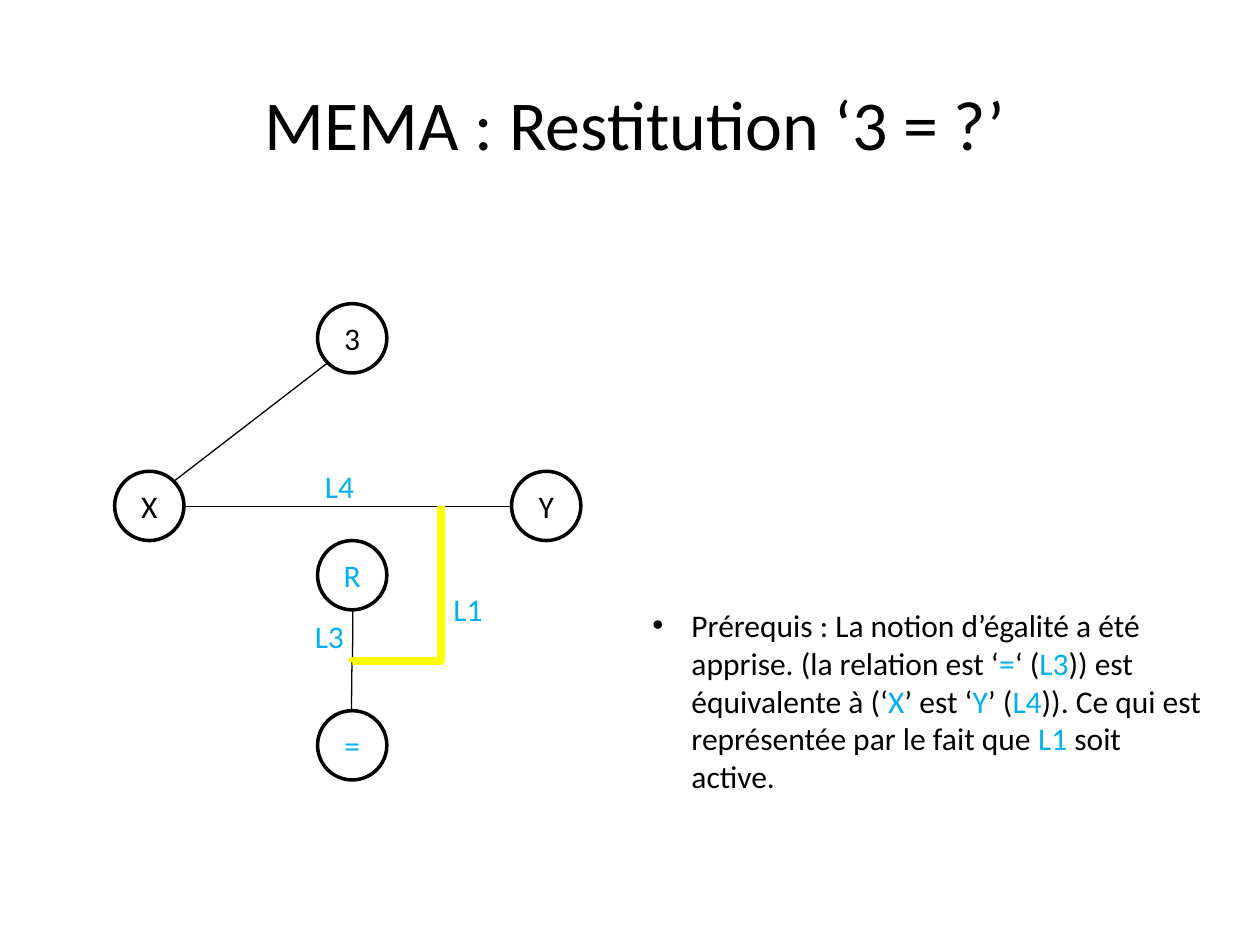
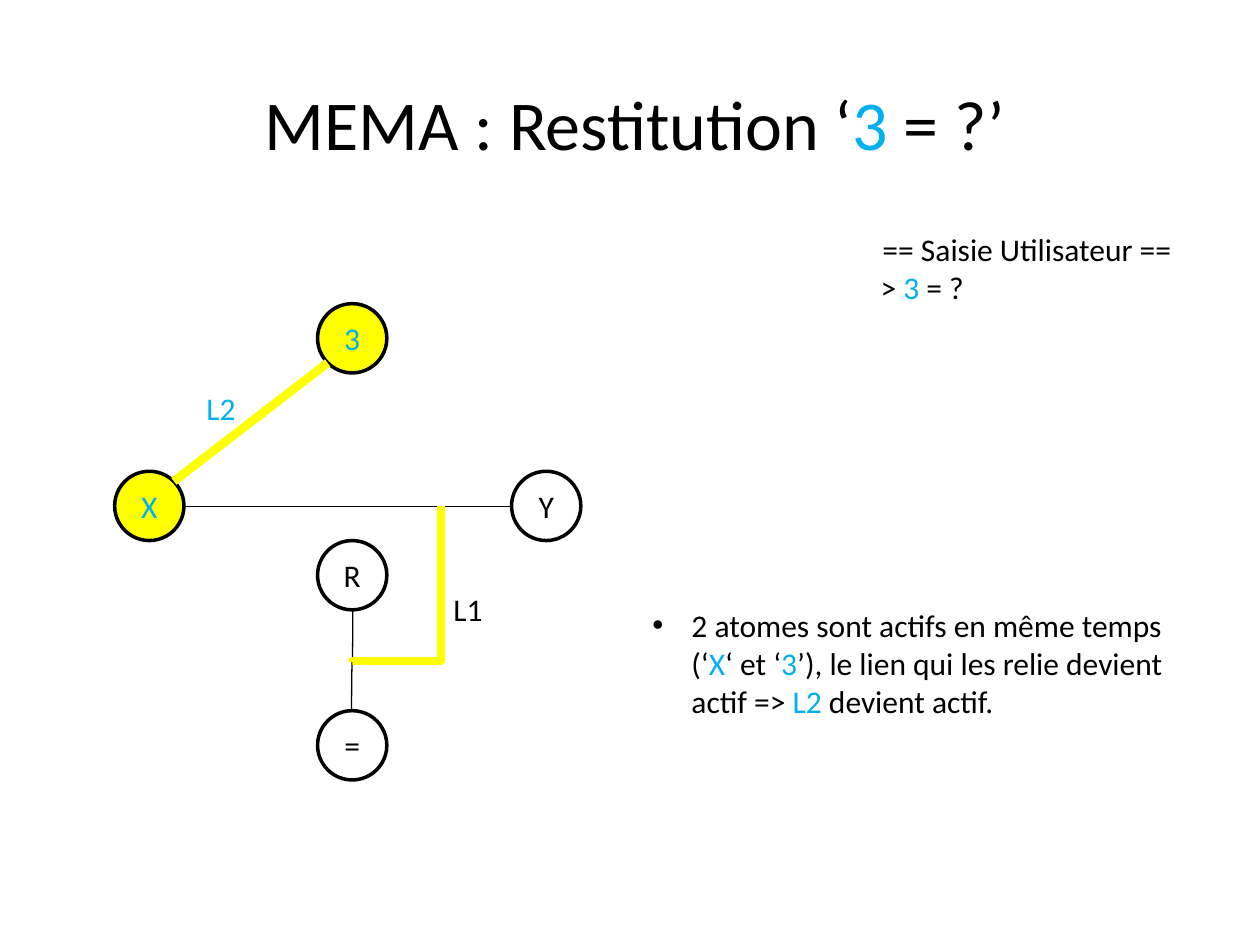
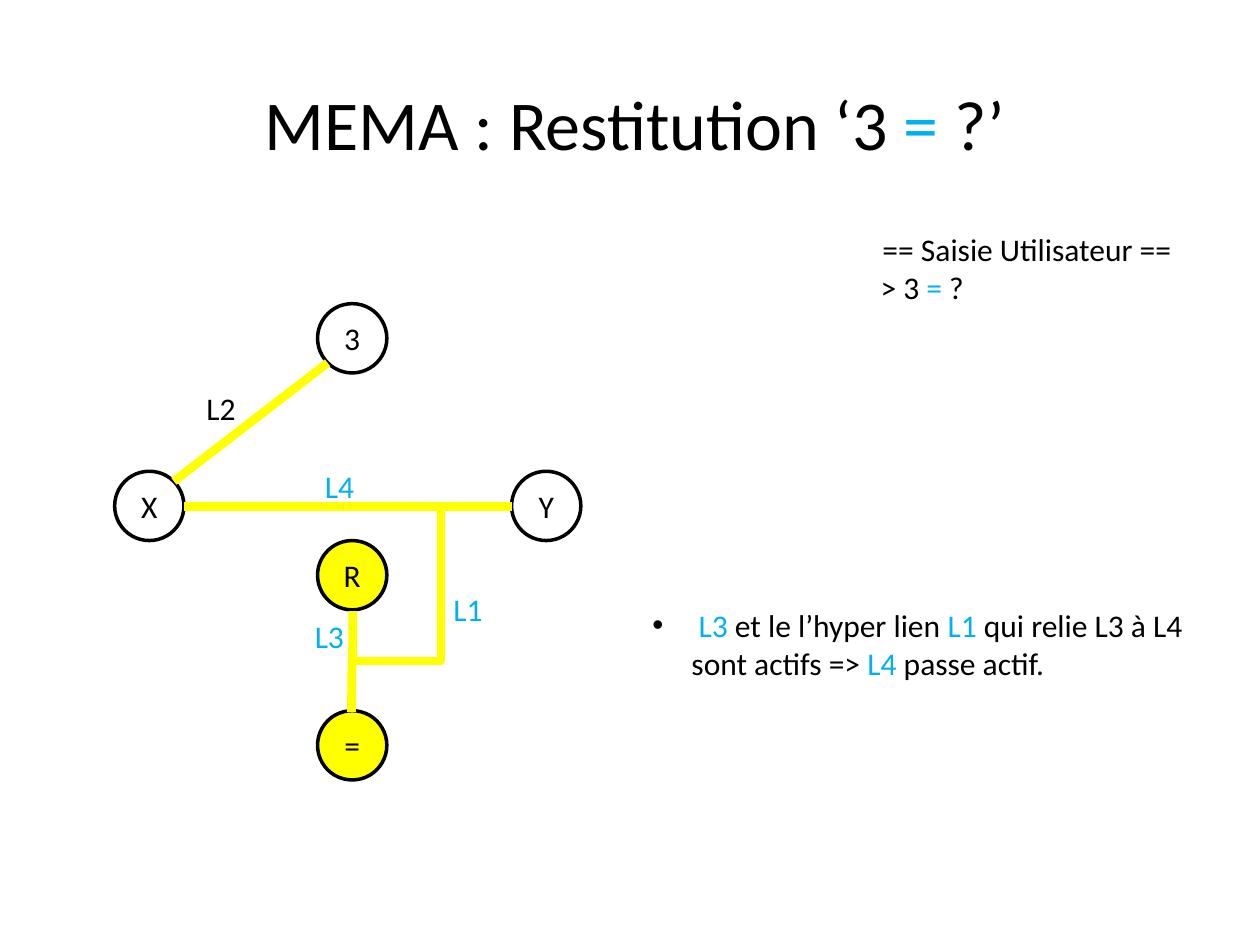
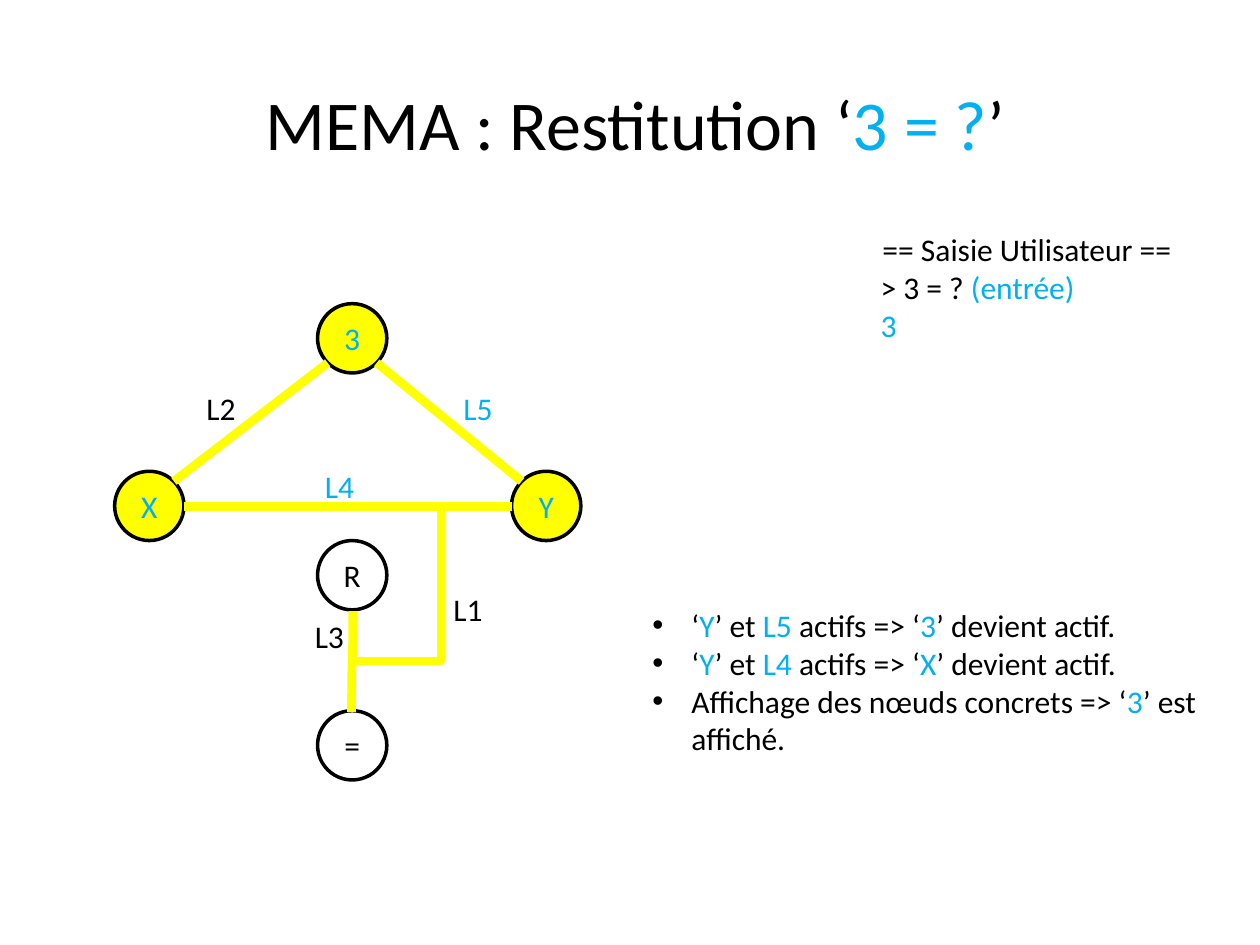
"""Build four slides that show how a memory graph restores '3 = ?'."""
from lxml import etree
from pptx import Presentation
from pptx.dml.color import RGBColor
from pptx.enum.shapes import MSO_CONNECTOR, MSO_SHAPE
from pptx.enum.text import MSO_ANCHOR, MSO_AUTO_SIZE, PP_ALIGN
from pptx.oxml.ns import qn
from pptx.util import Pt

PX = 9144
FONT = "Calibri"
BLACK = RGBColor(0x00, 0x00, 0x00)
BLUE = RGBColor(0x00, 0xB0, 0xF0)
YELLOW = RGBColor(0xFF, 0xFF, 0x00)

OVAL = MSO_SHAPE.OVAL
STRAIGHT, ELBOW, CURVE = MSO_CONNECTOR.STRAIGHT, MSO_CONNECTOR.ELBOW, MSO_CONNECTOR.CURVE
LEFT, CENTER = PP_ALIGN.LEFT, PP_ALIGN.CENTER
MIDDLE = MSO_ANCHOR.MIDDLE
GROW = MSO_AUTO_SIZE.SHAPE_TO_FIT_TEXT

NODE_SIZE = 55
INDENT = 31
NODES = {"X": (91, 374), "R": (252, 429), "Y": (406, 374), "3": (252, 241), "=": (252, 564)}
LINKS = {
    "L3": (CURVE, (280, 485), (279, 565)),
    "L4": (STRAIGHT, (146, 402), (406, 402)),
    "L1": (ELBOW, (280, 525), (350, 402)),
    "L2": (STRAIGHT, (138, 382), (260, 288)),
    "L5": (STRAIGHT, (414, 382), (299, 288)),
}
LABELS = {"L1": (350, 463), "L2": (154, 304), "L3": (240, 485), "L4": (248, 366), "L5": (358, 304)}
INPUT_HEADING = "== Saisie Utilisateur =="

STEPS = [
    {
        "title": "MEMA : Restitution ‘3 = ?’",
        "active": {"L1"},
        "blue": {"R", "=", "L1", "L3", "L4"},
        "labels": ["L1", "L4", "L3"],
        "entry": [],
        "notes": [
            "Prérequis : La notion d’égalité a été apprise. (la relation est ‘*=*‘ (*L3*)) est "
            "équivalente à (‘*X*’ est ‘*Y*’ (*L4*)). Ce qui est représentée par le fait que "
            "*L1* soit active."
        ],
        "notes_height": 162,
    },
    {
        "title": "MEMA : Restitution ‘*3* = ?’",
        "active": {"X", "3", "L1", "L2"},
        "blue": {"X", "3", "L2"},
        "labels": ["L1", "L2"],
        "entry": ["> *3* = ?"],
        "notes": [
            "2 atomes sont actifs en même temps (‘*X*‘ et ‘*3*’), le lien qui les relie "
            "devient actif => *L2* devient actif."
        ],
        "notes_height": 162,
    },
    {
        "title": "MEMA : Restitution ‘3 *=* ?’",
        "active": {"R", "=", "L1", "L2", "L3", "L4"},
        "blue": {"L1", "L3", "L4"},
        "labels": ["L1", "L2", "L3", "L4"],
        "entry": ["> 3 *=* ?"],
        "notes": [
            " *L3* et le l’hyper lien *L1* qui relie L3 à L4 sont actifs => *L4* passe actif."
        ],
        "notes_height": 101,
    },
    {
        "title": "MEMA : Restitution ‘*3 = ?*’",
        "active": {"X", "Y", "3", "L1", "L2", "L3", "L4", "L5"},
        "blue": {"X", "Y", "3", "L4", "L5"},
        "labels": ["L1", "L2", "L3", "L4", "L5"],
        "entry": ["> 3 = ? *(entrée)*", "*3*"],
        "notes": [
            "‘*Y*’ et *L5* actifs => ‘*3*’ devient actif.",
            "‘*Y*’ et *L4 *actifs => ‘*X*’ devient actif.",
            "Affichage des nœuds concrets => ‘*3*’ est affiché.",
        ],
        "notes_height": 162,
    },
]


class Board:
    """Hold the deck style and the current page."""

    def __init__(self):
        self.deck = Presentation()
        self.deck.slide_width, self.deck.slide_height = 1000 * PX, 750 * PX
        self.page = None

    def fill_paragraph(self, paragraph, text, size=18, align=LEFT):
        """Fill a paragraph, with the parts between asterisks in blue."""
        paragraph.alignment = align
        paragraph.font.name, paragraph.font.size = FONT, Pt(size)
        for index, part in enumerate(text.split("*")):
            if part:
                span = paragraph.add_run()
                span.text = part
                span.font.color.rgb = BLUE if index % 2 else BLACK

    def add_page(self, title):
        """Start a page with its title."""
        self.page = self.deck.slides.add_slide(self.deck.slide_layouts[5])
        box = self.page.shapes.title
        box.left, box.top, box.width, box.height = (n * PX for n in (118, 59, 772, 77))
        box.text_frame.auto_size = GROW
        box.text_frame.vertical_anchor = MIDDLE
        self.fill_paragraph(box.text_frame.paragraphs[0], title, 40, CENTER)

    def node(self, text, position, active):
        """Draw a round node, filled when active."""
        left, top = position
        size = NODE_SIZE * PX
        shape = self.page.shapes.add_shape(OVAL, left * PX, top * PX, size, size)
        shape.shadow.inherit = False
        if active:
            shape.fill.solid()
            shape.fill.fore_color.rgb = YELLOW
        else:
            shape.fill.background()
        shape.line.color.rgb, shape.line.width = BLACK, Pt(2)
        shape.text_frame.vertical_anchor = MIDDLE
        self.fill_paragraph(shape.text_frame.paragraphs[0], text, align=CENTER)

    def link(self, kind, begin, end, active):
        """Join two points; curves and elbows are turned by a quarter."""
        (x1, y1), (x2, y2) = begin, end
        if kind != STRAIGHT:
            across, down = x2 - x1, y2 - y1
            x1, x2 = (x1 + x2 - down) / 2, (x1 + x2 + down) / 2
            y1, y2 = (y1 + y2 + across) / 2, (y1 + y2 - across) / 2
        ends = (int(n * PX) for n in (x1, y1, x2, y2))
        line = self.page.shapes.add_connector(kind, *ends)
        line.line.color.rgb = YELLOW if active else BLACK
        line.line.width = Pt(5 if active else 0.75)
        properties = line._element.spPr
        etree.SubElement(properties, qn("a:effectLst"))
        if kind != STRAIGHT:
            properties.find(qn("a:xfrm")).set("rot", "5400000")
        if kind == ELBOW:
            guides = properties.find(qn("a:prstGeom")).find(qn("a:avLst"))
            etree.SubElement(guides, qn("a:gd"), name="adj1", fmla="val 200")

    def text(self, lines, left, top, width, height, first_align=LEFT, bullets=False):
        """Place a wrapping text box with one paragraph per line."""
        box = self.page.shapes.add_textbox(left * PX, top * PX, width * PX, height * PX)
        frame = box.text_frame
        frame.word_wrap, frame.auto_size = True, GROW
        for index, line in enumerate(lines):
            paragraph = frame.add_paragraph() if index else frame.paragraphs[0]
            self.fill_paragraph(paragraph, line, align=LEFT if index else first_align)
            if bullets:
                self.bullet(paragraph)

    def bullet(self, paragraph):
        """Give a paragraph a hanging bullet."""
        properties = paragraph._p.get_or_add_pPr()
        properties.set("marL", str(INDENT * PX))
        properties.set("indent", str(-INDENT * PX))
        font = etree.Element(qn("a:buFont"), typeface="Arial")
        mark = etree.Element(qn("a:buChar"), char="•")
        properties.insert(0, font)
        properties.insert(1, mark)


def draw_step(board, step):
    """Draw one step of the graph with its comments."""
    active = step["active"]

    def tint(name):
        return f"*{name}*" if name in step["blue"] else name

    board.add_page(step["title"])
    for name, position in NODES.items():
        board.node(tint(name), position, name in active)
    for name, (kind, begin, end) in LINKS.items():
        if name != "L5" or name in active:
            board.link(kind, begin, end, name in active)
    for name in step["labels"]:
        board.text([tint(name)], *LABELS[name], 47, 40)
    if step["entry"]:
        height = 41 + 30 * len(step["entry"])
        board.text([INPUT_HEADING, *step["entry"]], 689, 178, 252, height, CENTER)
    board.text(step["notes"], 508, 476, 457, step["notes_height"], bullets=True)


def main():
    """Build and save the deck."""
    board = Board()
    for step in STEPS:
        draw_step(board, step)
    board.deck.save("out.pptx")


if __name__ == "__main__":
    main()
